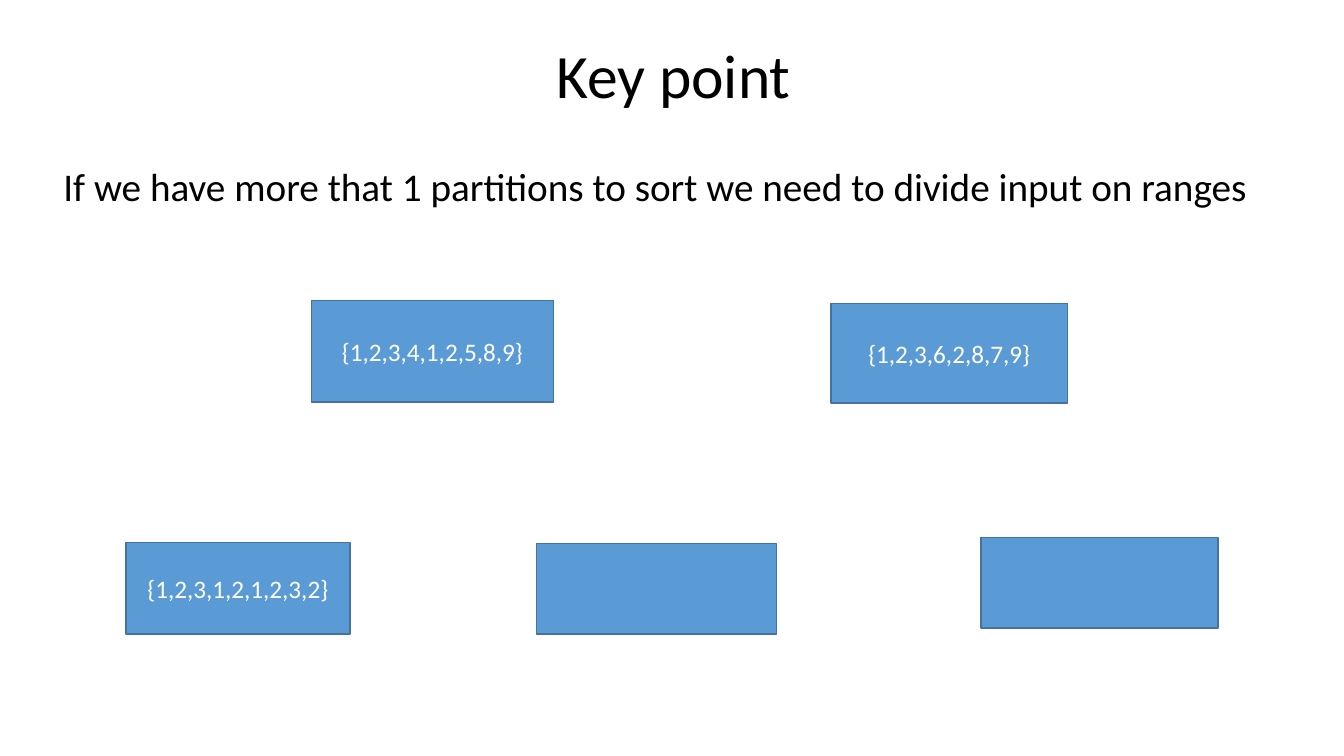
from pptx import Presentation
from pptx.dml.color import RGBColor
from pptx.enum.shapes import MSO_SHAPE as Shape
from pptx.enum.text import MSO_ANCHOR as Anchor, PP_ALIGN as Align
from pptx.util import Inches, Pt

BLACK = RGBColor(0x00, 0x00, 0x00)
WHITE = RGBColor(0xFF, 0xFF, 0xFF)
BLUE = RGBColor(0x5B, 0x9B, 0xD5)
DARK_BLUE = RGBColor(0x43, 0x73, 0x9E)
FONT = "Calibri"

PARTITIONS = [
    ((3.09, 2.98, 2.4, 1.01), "{1,2,3,4,1,2,5,8,9}"),
    ((8.24, 3.01, 2.35, 0.99), "{1,2,3,6,2,8,7,9}"),
    ((1.25, 5.38, 2.22, 0.91), "{1,2,3,1,2,1,2,3,2}"),
    ((5.32, 5.39, 2.38, 0.9), ""),
    ((9.73, 5.33, 2.35, 0.9), ""),
]


def write(box, text, size, color, align, anchor):
    """Write one formatted paragraph into a box and return it."""
    frame = box.text_frame
    frame.word_wrap = True
    frame.vertical_anchor = anchor
    para = frame.paragraphs[0]
    para.alignment = align
    span = para.add_run()
    span.text = text
    span.font.name = FONT
    span.font.size = Pt(size)
    span.font.color.rgb = color
    return para


def add_text(page, place, text, size, align, anchor):
    """Add a black text box with tight line spacing and return its paragraph."""
    box = page.shapes.add_textbox(*map(Inches, place))
    para = write(box, text, size, BLACK, align, anchor)
    para.line_spacing = 0.9
    return para


def add_partition(page, place, text):
    """Add a blue rectangle holding the values of one partition, if any."""
    box = page.shapes.add_shape(Shape.RECTANGLE, *map(Inches, place))
    box.shadow.inherit = False
    box.fill.solid()
    box.fill.fore_color.rgb = BLUE
    box.line.color.rgb = DARK_BLUE
    box.line.width = Pt(1)
    if text:
        write(box, text, 18, WHITE, Align.CENTER, Anchor.MIDDLE)


def main():
    """Build the slide and save the deck."""
    deck = Presentation()
    deck.slide_width = Inches(13.33)
    deck.slide_height = Inches(7.5)
    page = deck.slides.add_slide(deck.slide_layouts[6])
    add_text(page, (0.93, 0.05, 11.5, 1.45), "Key point", 44, Align.CENTER, Anchor.MIDDLE)
    statement = add_text(
        page,
        (0.53, 1.61, 12.52, 1),
        "If we have more that 1 partitions to sort we need to divide input on ranges",
        28,
        Align.LEFT,
        Anchor.TOP,
    )
    statement.space_before = Pt(10)
    for place, values in PARTITIONS:
        add_partition(page, place, values)
    deck.save("out.pptx")


if __name__ == "__main__":
    main()
